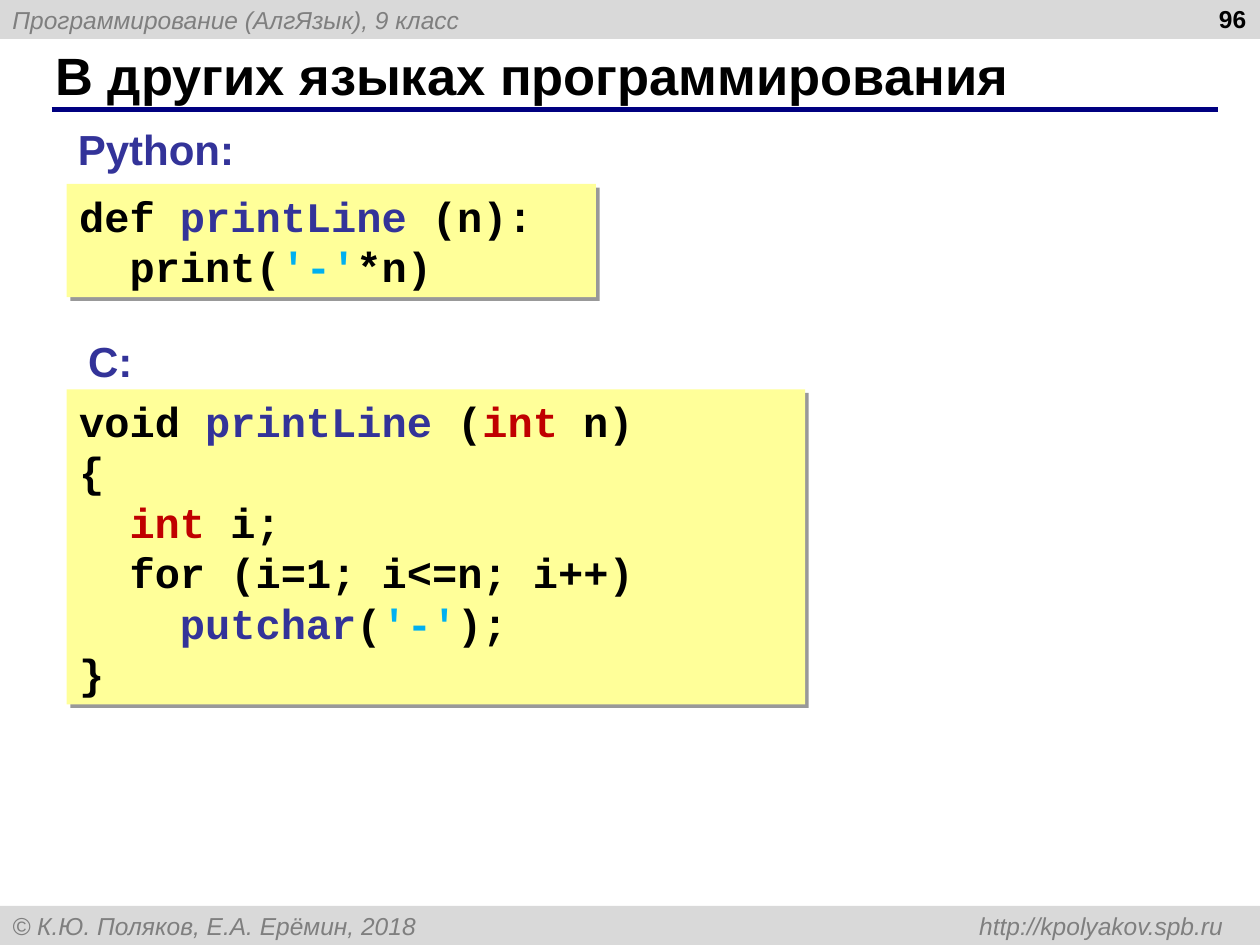
from pptx import Presentation
from pptx.dml.color import RGBColor
from pptx.enum.shapes import MSO_CONNECTOR as Conn, MSO_SHAPE as Shape
from pptx.enum.text import MSO_ANCHOR as Anchor, PP_ALIGN as Align
from pptx.oxml import parse_xml
from pptx.oxml.ns import nsdecls, qn
from pptx.util import Inches, Pt

BLACK, BLUE, RED, CYAN = "000000", "333399", "C00000", "00B0F0"
GRAY, BAND, CREAM, NAVY = "7F7F7F", "D9D9D9", "FFFF99", "000080"


def color(code):
    return RGBColor.from_string(code)


def write(para, runs, size, face="Arial", bold=True, italic=False):
    for text, code in runs:
        run = para.add_run()
        run.text = text
        font = run.font
        font.name, font.size = face, Pt(size)
        font.bold, font.italic = bold, italic
        font.color.rgb = color(code)


prs = Presentation()
prs.slide_width, prs.slide_height = Inches(10), Inches(7.5)
slide = prs.slides.add_slide(prs.slide_layouts[5])
shapes = slide.shapes

# Header and footer bands
bands = [
    (0, "Программирование (АлгЯзык), 9 класс"),
    (7.19, "© К.Ю. Поляков, Е.А. Ерёмин, 2018 \thttp://kpolyakov.spb.ru"),
]
for top, text in bands:
    band = shapes.add_shape(Shape.RECTANGLE, 0, Inches(top), Inches(10), Inches(0.31))
    band.shadow.inherit = False
    band.fill.solid()
    band.fill.fore_color.rgb = color(BAND)
    band.line.fill.background()
    frame = band.text_frame
    frame.vertical_anchor = Anchor.MIDDLE
    para = frame.paragraphs[0]
    para.alignment = Align.LEFT
    if "\t" in text:
        para._p.get_or_add_pPr().append(parse_xml(
            f'<a:tabLst {nsdecls("a")}><a:tab pos="{Inches(9.61)}" algn="r"/></a:tabLst>'))
    write(para, [(text, GRAY)], 14, bold=False, italic=True)

# Rule under the title
rule = shapes.add_connector(Conn.STRAIGHT, Inches(0.41), Inches(0.87), Inches(9.67), Inches(0.87))
rule.line.color.rgb = color(NAVY)
rule.line.width = Pt(3)
rule._element.spPr.append(parse_xml(f'<a:effectLst {nsdecls("a")}/>'))

# Title
title = shapes.title
title.left, title.top = Inches(0.34), Inches(0.33)
title.width, title.height = Inches(9.16), Inches(0.52)
frame = title.text_frame
frame.vertical_anchor = Anchor.MIDDLE
frame.paragraphs[0].alignment = Align.LEFT
write(frame.paragraphs[0], [("В других языках программирования", BLACK)], 30)

# Page number and language labels
labels = [
    (7.66, -0.02, 2.33, "96", 14, BLACK, Align.RIGHT),
    (0.52, 0.93, 1.44, "Python:", 24, BLUE, Align.LEFT),
    (0.6, 2.61, 0.55, "С:", 24, BLUE, Align.LEFT),
]
for left, top, width, text, size, code, align in labels:
    box = shapes.add_textbox(Inches(left), Inches(top), Inches(width), Inches(0.5))
    box.text_frame.word_wrap = align == Align.RIGHT
    para = box.text_frame.paragraphs[0]
    para.alignment = align
    write(para, [(text, code)], size)

# Code panels: top, width, height, lines of runs
panels = [
    (1.46, 4.2, 0.9, [
        [("def ", BLACK), ("printLine", BLUE), (" (n):", BLACK)],
        [("  print(", BLACK), ("'-'", CYAN), ("*n)", BLACK)],
    ]),
    (3.09, 5.86, 2.5, [
        [("void ", BLACK), ("printLine", BLUE), (" (", BLACK), ("int", RED), (" n)", BLACK)],
        [("{", BLACK)],
        [("  ", BLACK), ("int", RED), (" i;", BLACK)],
        [("  for (i=1; i<=n; i++)", BLACK)],
        [("    ", BLACK), ("putchar", BLUE), ("(", BLACK), ("'-'", CYAN), (");", BLACK)],
        [("}", BLACK)],
    ]),
]
for top, width, height, lines in panels:
    panel = shapes.add_shape(Shape.RECTANGLE, Inches(0.53), Inches(top), Inches(width), Inches(height))
    panel.fill.solid()
    panel.fill.fore_color.rgb = color(CREAM)
    panel.line.fill.background()
    panel.shadow.inherit = False
    panel._element.spPr.find(qn("a:effectLst")).append(parse_xml(
        f'<a:outerShdw {nsdecls("a")} blurRad="0" dist="{Pt(3)}" dir="2700000" algn="tl" rotWithShape="0">'
        f'<a:srgbClr val="{BLACK}"><a:alpha val="40000"/></a:srgbClr></a:outerShdw>'))
    frame = panel.text_frame
    frame.vertical_anchor = Anchor.TOP
    for i, runs in enumerate(lines):
        para = frame.add_paragraph() if i else frame.paragraphs[0]
        para.alignment = Align.LEFT
        write(para, runs, 24, "Courier New")

prs.save("out.pptx")
